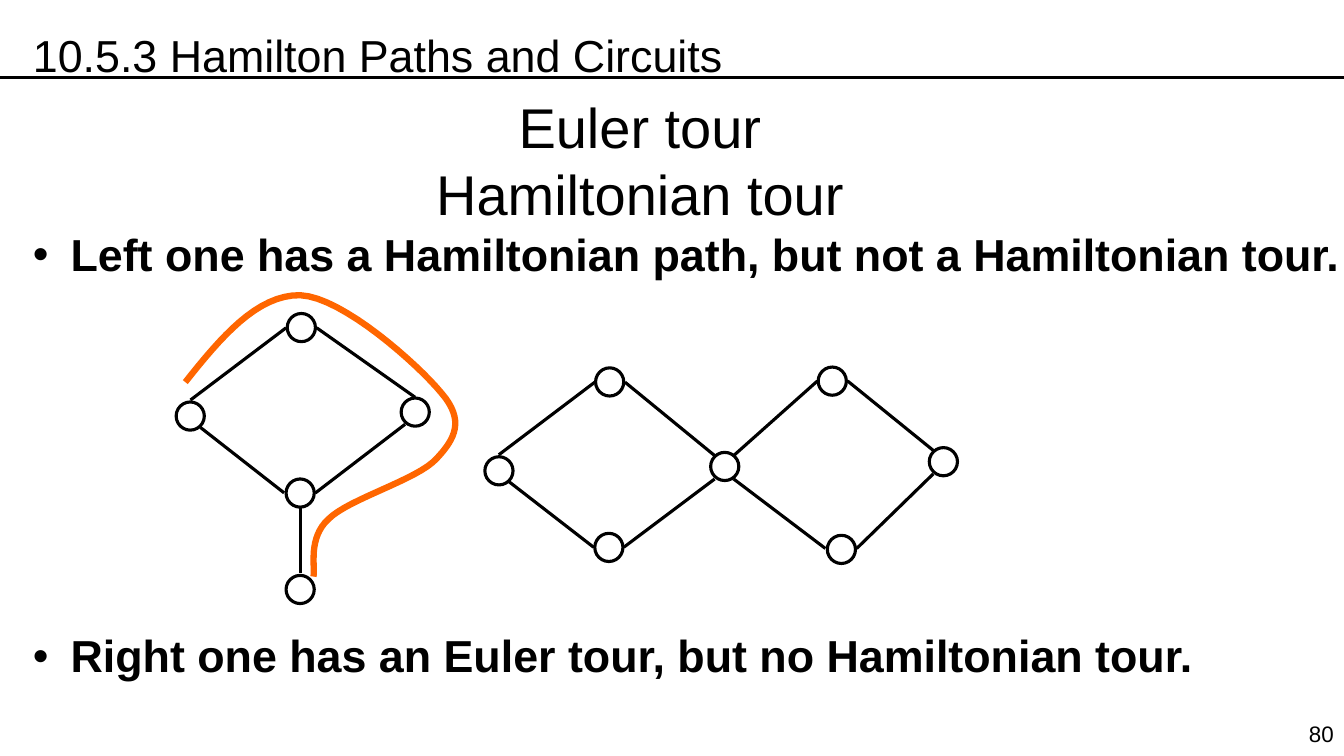
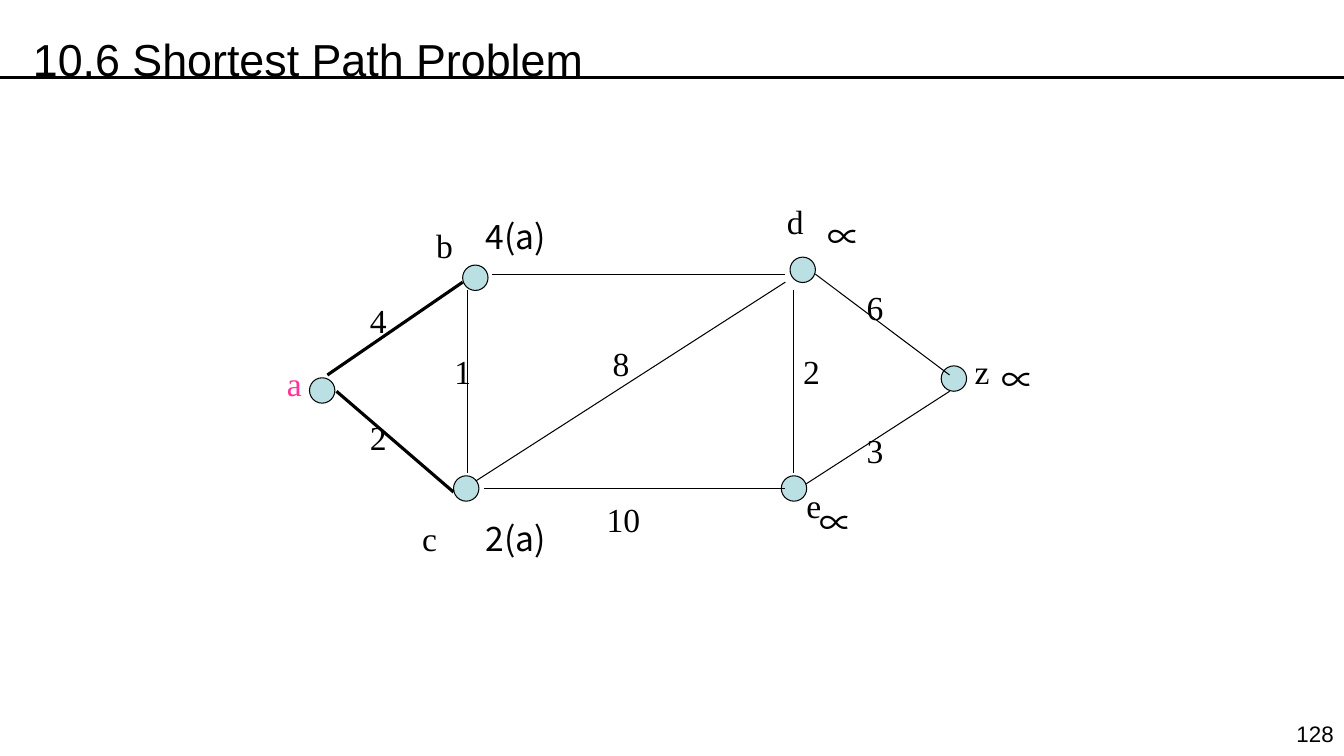
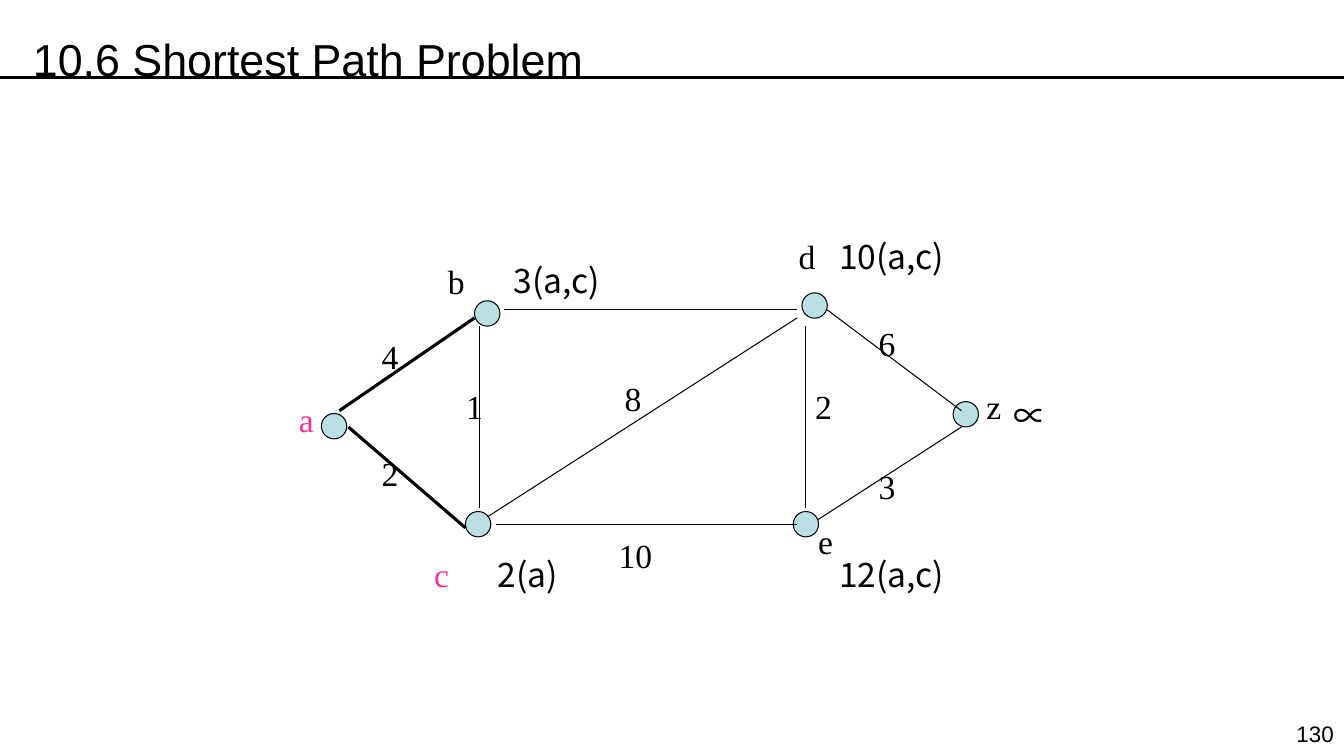
from dataclasses import dataclass
from typing import Optional

from lxml import etree
from pptx import Presentation
from pptx.dml.color import RGBColor
from pptx.enum import shapes, text
from pptx.oxml import ns
from pptx.util import Cm, Pt

# Shared style
BLACK = RGBColor(0x00, 0x00, 0x00)
PINK = RGBColor(0xFF, 0x33, 0x99)
ORANGE = RGBColor(0xFF, 0x66, 0x00)
PALE_BLUE = RGBColor(0xBB, 0xE0, 0xE3)
SANS, SERIF, CJK = "Arial", "Times New Roman", "Noto Sans CJK SC"
THIN, BOLD = 0.75, 2.25
WIDTH, HEIGHT = 33.87, 19.05
MARGIN = 0.58
RULE_Y = 1.96


@dataclass(frozen=True)
class Edge:
    x1: float
    y1: float
    x2: float
    y2: float
    weight: float = THIN


@dataclass(frozen=True)
class Label:
    words: str
    x: float
    y: float
    w: float = 0.92
    font: str = SERIF


def add_text(s, words: str, x: float, y: float, w: float, h: float, size: float,
             font: str = SANS, color: RGBColor = BLACK, wrap: bool = True,
             bold: bool = False, para: Optional[dict] = None):
    """Add a text box with one paragraph and return the shape."""
    sp = s.shapes.add_textbox(Cm(x), Cm(y), Cm(w), Cm(h))
    tf = sp.text_frame
    tf.word_wrap = wrap
    tf.auto_size = text.MSO_AUTO_SIZE.SHAPE_TO_FIT_TEXT
    p = tf.paragraphs[0]
    p.text = words
    for name, value in (para or {}).items():
        setattr(p, name, value)
    for r in p.runs:
        for name, value in {"name": font, "size": Pt(size), "bold": bold}.items():
            setattr(r.font, name, value)
        r.font.color.rgb = color
        ea = etree.SubElement(r.font._element, ns.qn("a:ea"))
        ea.set("typeface", font)
    return sp


def add_edge(s, edge: Edge) -> None:
    cxn = s.shapes.add_connector(
        shapes.MSO_CONNECTOR.STRAIGHT,
        Cm(edge.x1), Cm(edge.y1), Cm(edge.x2), Cm(edge.y2))
    cxn.line.color.rgb = BLACK
    cxn.line.width = Pt(edge.weight)
    etree.SubElement(cxn._element.spPr, ns.qn("a:effectLst"))


def add_node(s, x: float, y: float, size: float, weight: float,
             fill: Optional[RGBColor] = None) -> None:
    sp = s.shapes.add_shape(shapes.MSO_SHAPE.OVAL, Cm(x), Cm(y), Cm(size), Cm(size))
    sp.shadow.inherit = False
    if fill is None:
        sp.fill.background()
    else:
        sp.fill.solid()
        sp.fill.fore_color.rgb = fill
    sp.line.color.rgb = BLACK
    sp.line.width = Pt(weight)


def add_curve(s, start: tuple, segments: list, steps: int = 16) -> None:
    """Draw chained cubic curves; each segment is two controls and an end."""
    points, p0 = [], start
    for p1, p2, p3 in segments:
        for i in range(1, steps + 1):
            t = i / steps
            u = 1 - t
            points.append(tuple(
                Cm(u**3 * a + 3 * u * u * t * b + 3 * u * t * t * c + t**3 * d)
                for a, b, c, d in zip(p0, p1, p2, p3)))
        p0 = p3
    builder = s.shapes.build_freeform(Cm(start[0]), Cm(start[1]))
    builder.add_line_segments(points, close=False)
    sp = builder.convert_to_shape()
    sp.shadow.inherit = False
    sp.fill.background()
    sp.line.color.rgb = ORANGE
    sp.line.width = Pt(4.5)


def add_bullet(p, indent: float) -> None:
    pPr = p._p.get_or_add_pPr()
    pPr.set("marL", str(Cm(indent)))
    pPr.set("indent", str(-Cm(indent)))
    etree.SubElement(pPr, ns.qn("a:buFont")).set("typeface", SANS)
    etree.SubElement(pPr, ns.qn("a:buChar")).set("char", "•")


def new_slide(prs, number: int):
    """Add a slide with the rule and the page number."""
    s = prs.slides.add_slide(prs.slide_layouts[6])
    add_edge(s, Edge(0, RULE_Y, WIDTH, RULE_Y, BOLD))
    add_text(s, str(number), 32.26, 18.03, 1.6, 0.94, 16,
             para={"alignment": text.PP_ALIGN.RIGHT})
    return s


# Hamilton slide
TOUR_NODES = [
    (7.24, 7.9), (4.44, 10.13), (10.11, 10.03), (7.21, 12.07), (7.21, 14.5),
    (15.01, 9.27), (12.22, 11.51), (17.91, 11.4), (14.99, 13.44),
    (20.62, 9.25), (23.42, 11.28), (20.85, 13.49),
]
TOUR_EDGES = [
    (7.21, 8.26, 4.8, 10.08), (7.98, 8.26, 10.46, 10.01),
    (7.16, 12.42, 5.05, 10.77), (7.95, 12.42, 10.21, 10.69),
    (7.57, 12.8, 7.57, 14.45),
    (14.99, 9.63, 12.57, 11.46), (15.75, 9.63, 18.01, 11.48),
    (14.96, 13.79, 12.83, 12.14), (15.72, 13.79, 18.01, 12.07),
    (18.49, 11.48, 20.6, 9.6), (23.52, 11.35, 21.36, 9.6),
    (20.8, 13.82, 18.49, 12.07), (23.52, 11.94, 21.59, 13.82),
]
PATH_START = (4.67, 9.63)
PATH_SEGMENTS = [
    ((5.56, 8.51), (6.48, 7.42), (7.57, 7.44)),
    ((8.64, 7.49), (10.54, 9.19), (11.13, 9.91)),
    ((11.71, 10.59), (11.48, 11.05), (11, 11.56)),
    ((10.52, 12.09), (8.79, 12.57), (8.28, 13.08)),
    ((7.75, 13.56), (7.95, 14.3), (7.9, 14.53)),
]


def hamilton_slide(prs) -> None:
    s = new_slide(prs, 80)
    add_text(s, "Euler tour\nHamiltonian tour", 10.31, 2.21, 11.63, 3.68, 40,
             para={"alignment": text.PP_ALIGN.CENTER})

    # Bullets above and below the graphs
    sp = s.shapes.add_textbox(Cm(MARGIN), Cm(5.74), Cm(33.58), Cm(12.2))
    tf = sp.text_frame
    tf.word_wrap = True
    bullets = [
        ("Left one has a Hamiltonian path, but not a Hamiltonian tour.", 0),
        ("Right one has an Euler tour, but no Hamiltonian tour.", 252),
    ]
    for i, (words, before) in enumerate(bullets):
        p = tf.add_paragraph() if i else tf.paragraphs[0]
        p.text = words
        add_bullet(p, 0.95)
        p.line_spacing = 0.9
        p.space_before = Pt(before)
        for name, value in {"name": SANS, "size": Pt(32), "bold": True}.items():
            setattr(p.runs[0].font, name, value)
        p.runs[0].font.color.rgb = BLACK

    add_text(s, "10.5.3 Hamilton Paths and Circuits", MARGIN, 0.58, 33.27, 1.63, 32)
    for x, y in TOUR_NODES:
        add_node(s, x, y, 0.71, BOLD)
    for ends in TOUR_EDGES:
        add_edge(s, Edge(*ends, BOLD))
    add_curve(s, PATH_START, PATH_SEGMENTS)


# Weighted graph shared by the shortest path slides
GRAPH_NODES = [(7.8, 9.52), (11.66, 6.68), (11.43, 11.99),
               (19.69, 11.99), (19.91, 6.48), (23.72, 9.22)]
GRAPH_EDGES = [
    Edge(8.25, 9.45, 11.66, 7.11, BOLD), Edge(8.48, 9.86, 11.43, 12.4, BOLD),
    Edge(12.4, 6.91, 19.79, 6.91), Edge(20.55, 6.91, 23.93, 9.45),
    Edge(11.99, 12.12, 19.79, 7.11), Edge(12.19, 12.32, 19.79, 12.32),
    Edge(20.32, 12.19, 23.93, 9.86),
    Edge(11.79, 7.32, 11.79, 11.91), Edge(19.99, 7.32, 19.99, 11.91),
]
GRAPH_LABELS = [
    Label("a", 6.98, 9.02), Label("b", 10.74, 5.54), Label("c", 10.39, 12.93),
    Label("d", 19.58, 4.93), Label("e", 20.07, 12.09), Label("z", 24.31, 8.71),
    Label("4", 9.07, 7.44), Label("2", 9.07, 10.39), Label("1", 11.2, 8.71, 1.35),
    Label("8", 15.19, 8.51, 1.35), Label("10", 15.04, 12.45, 1.8),
    Label("2", 19.99, 8.71), Label("6", 21.59, 7.11), Label("3", 21.59, 10.72),
]
SHARED_DISTANCES = [Label("∝", 24.99, 8.92, 1.6, CJK),
                    Label("2(a)", 11.99, 12.93, 2.6, CJK)]
FIRST_DISTANCES = SHARED_DISTANCES + [
    Label("∝", 20.6, 5.31, 1.6, CJK), Label("∝", 20.4, 12.52, 1.6, CJK),
    Label("4(a)", 11.99, 5.31, 2.6, CJK),
]
SECOND_DISTANCES = SHARED_DISTANCES + [
    Label("3(a,c)", 12.4, 5.53, 4.4, CJK), Label("10(a,c)", 20.6, 4.92, 4.4, CJK),
    Label("12(a,c)", 20.6, 12.93, 4.4, CJK),
]


def shortest_path_slide(prs, number: int, dx: float, dy: float,
                        visited: str, distances: list) -> None:
    """Draw the graph moved by dx, dy with the visited nodes in pink."""
    s = new_slide(prs, number)
    add_text(s, "10.6 Shortest Path Problem", MARGIN, 0, 30.7, 2.06, 32,
             para={"line_spacing": 1.5})
    for x, y in GRAPH_NODES:
        add_node(s, x + dx, y + dy, 0.64, THIN, PALE_BLUE)
    for e in GRAPH_EDGES:
        add_edge(s, Edge(e.x1 + dx, e.y1 + dy, e.x2 + dx, e.y2 + dy, e.weight))
    for lb in GRAPH_LABELS + distances:
        color = PINK if lb.words in visited else BLACK
        add_text(s, lb.words, lb.x + dx, lb.y + dy, lb.w, 1.27, 24,
                 font=lb.font, color=color, wrap=lb.w > 1)


def main() -> None:
    prs = Presentation()
    prs.slide_width, prs.slide_height = Cm(WIDTH), Cm(HEIGHT)
    hamilton_slide(prs)
    shortest_path_slide(prs, 128, 0, 0, "a", FIRST_DISTANCES)
    shortest_path_slide(prs, 130, 0.3, 0.9, "ac", SECOND_DISTANCES)
    prs.save("out.pptx")


if __name__ == "__main__":
    main()
